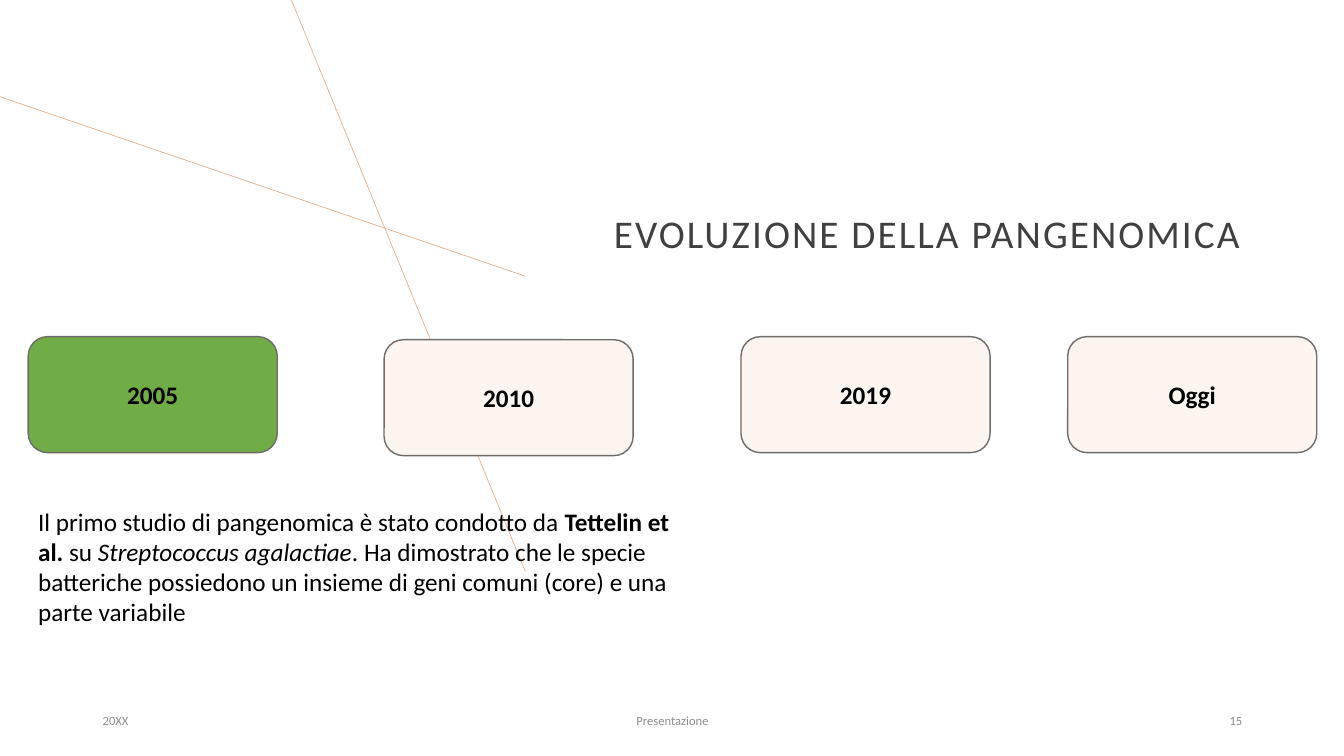
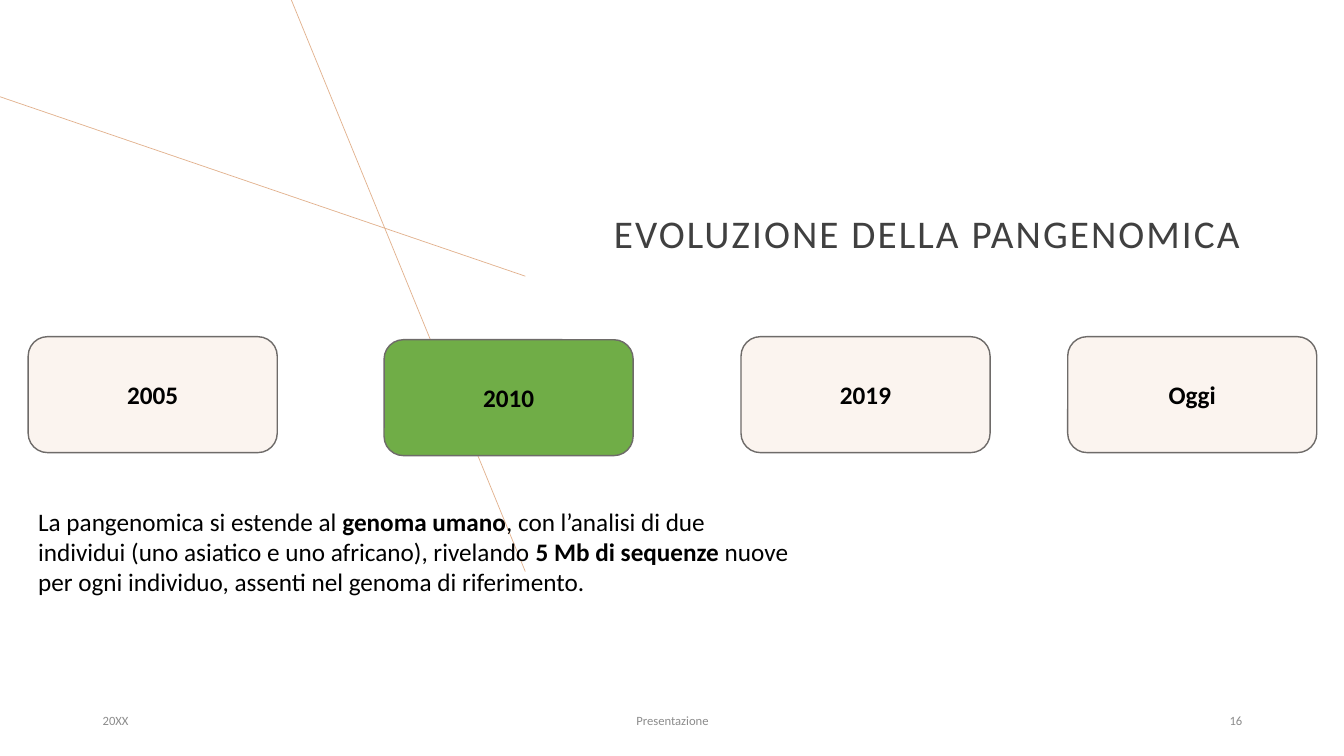
from pptx import Presentation
from pptx.dml.color import RGBColor
from pptx.enum.shapes import MSO_CONNECTOR, MSO_SHAPE
from pptx.enum.text import MSO_ANCHOR as Anchor, MSO_AUTO_SIZE, PP_ALIGN as Align
from pptx.oxml.ns import qn
from pptx.util import Inches, Pt
from lxml import etree

FONT = "Calibri"
BLACK, TITLE_GREY, FOOTER_GREY = "000000", "404040", "8C8C8C"
ACTIVE, INACTIVE, OUTLINE, DECORATION = "70AD47", "FBF4EF", "6E6B69", "E2B18D"

TITLE = "EVOLUZIONE DELLA PANGENOMICA"
DECORATIVE_LINES = [(5.21, 2.74, 0, 0.96), (5.21, 5.67, 2.89, 0)]
MILESTONES = [("2005", 0.28, 3.34), ("2010", 3.81, 3.37), ("2019", 7.35, 3.34), ("Oggi", 10.59, 3.34)]
MILESTONE_SIZE = (2.47, 1.15)
FOOTER_TOP, FOOTER_HEIGHT = 6.95, 0.4

SLIDES = [
    {
        "number": 15,
        "active": "2005",
        "box": (0.28, 4.97, 6.66, 1.31),
        "text": [
            ("Il primo studio di pangenomica è stato condotto da ", ""),
            ("Tettelin et al.", "bold"),
            (" su ", ""),
            ("Streptococcus agalactiae", "italic"),
            (". Ha dimostrato che le specie batteriche possiedono un insieme "
             "di geni comuni (core) e una parte variabile", ""),
        ],
    },
    {
        "number": 16,
        "active": "2010",
        "box": (0.28, 4.97, 7.69, 1.01),
        "text": [
            ("La pangenomica si estende al ", ""),
            ("genoma umano", "bold"),
            (", con l’analisi di due individui (uno asiatico e uno africano), rivelando ", ""),
            ("5 Mb di sequenze", "bold"),
            (" nuove per ogni individuo, assenti nel genoma di riferimento.", ""),
        ],
    },
]


def color(value):
    return RGBColor.from_string(value)


def write(shape, runs, size, text_color, align=Align.LEFT, anchor=Anchor.MIDDLE):
    frame = shape.text_frame
    frame.word_wrap = True
    frame.vertical_anchor = anchor
    paragraph = frame.paragraphs[0]
    paragraph.alignment = align
    paragraph.font.name = FONT
    paragraph.font.size = Pt(size)
    paragraph.font.color.rgb = color(text_color)
    for text, style in runs:
        run = paragraph.add_run()
        run.text = text
        if style == "bold":
            run.font.bold = True
        elif style == "italic":
            run.font.italic = True
    return paragraph


def add_text(slide, box, runs, size, text_color, align=Align.LEFT, anchor=Anchor.MIDDLE):
    shape = slide.shapes.add_textbox(*map(Inches, box))
    return shape, write(shape, runs, size, text_color, align, anchor)


def add_decoration(slide):
    for ends in DECORATIVE_LINES:
        line = slide.shapes.add_connector(MSO_CONNECTOR.STRAIGHT, *map(Inches, ends))
        line.line.color.rgb = color(DECORATION)
        line.line.width = Pt(0.5)
        etree.SubElement(line._element.spPr, qn("a:effectLst"))


def add_footer(slide, number):
    parts = [
        ("20XX", 0.92, 3, Align.LEFT),
        ("Presentazione", 4.42, 4.5, Align.CENTER),
        (str(number), 9.42, 3, Align.RIGHT),
    ]
    for text, left, width, align in parts:
        box = (left, FOOTER_TOP, width, FOOTER_HEIGHT)
        add_text(slide, box, [(text, "")], 9, FOOTER_GREY, align)


def add_title(slide):
    paragraph = add_text(slide, (5.99, 1.15, 6.86, 1.45), [(TITLE, "")], 28,
                         TITLE_GREY, anchor=Anchor.BOTTOM)[1]
    paragraph.line_spacing = 0.9
    paragraph.runs[0].font._element.set("spc", "150")


def add_milestones(slide, active):
    for label, left, top in MILESTONES:
        box = (left, top, *MILESTONE_SIZE)
        shape = slide.shapes.add_shape(MSO_SHAPE.ROUNDED_RECTANGLE, *map(Inches, box))
        shape.shadow.inherit = False
        shape.fill.solid()
        shape.fill.fore_color.rgb = color(ACTIVE if label == active else INACTIVE)
        shape.line.color.rgb = color(OUTLINE)
        shape.line.width = Pt(1)
        write(shape, [(label, "bold")], 18, BLACK, Align.CENTER)


def main():
    presentation = Presentation()
    presentation.slide_width = Inches(13.33)
    presentation.slide_height = Inches(7.5)
    for content in SLIDES:
        slide = presentation.slides.add_slide(presentation.slide_layouts[6])
        add_decoration(slide)
        add_footer(slide, content["number"])
        add_title(slide)
        add_milestones(slide, content["active"])
        description = add_text(slide, content["box"], content["text"], 18, BLACK,
                               anchor=Anchor.TOP)[0]
        description.text_frame.auto_size = MSO_AUTO_SIZE.SHAPE_TO_FIT_TEXT
    presentation.save("out.pptx")


if __name__ == "__main__":
    main()
